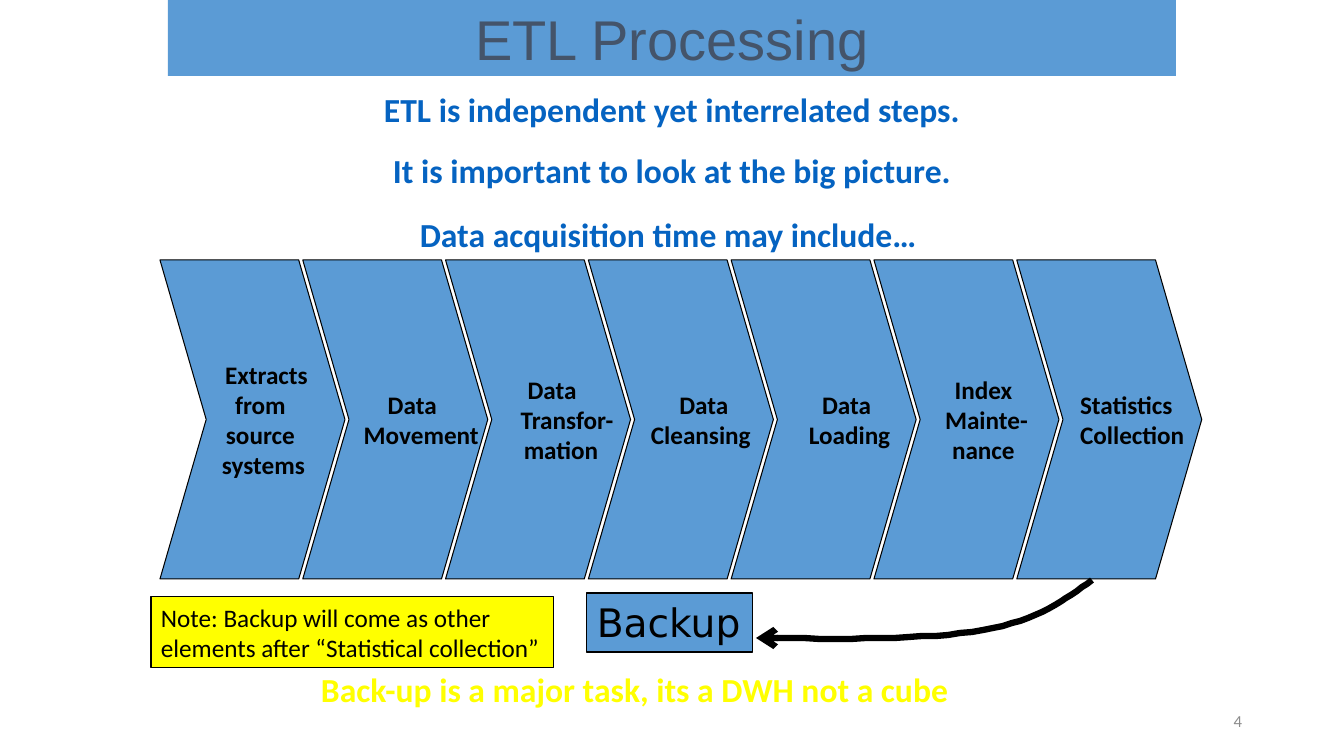
from lxml import etree
from pptx import Presentation
from pptx.dml.color import RGBColor
from pptx.enum.shapes import MSO_SHAPE
from pptx.enum.text import MSO_ANCHOR, PP_ALIGN
from pptx.oxml.ns import qn
from pptx.util import Pt

PX = 914400 / 100.8
RECT, CHEVRON = MSO_SHAPE.RECTANGLE, MSO_SHAPE.CHEVRON
LEFT, CENTER, RIGHT = PP_ALIGN.LEFT, PP_ALIGN.CENTER, PP_ALIGN.RIGHT
TOP, MIDDLE = MSO_ANCHOR.TOP, MSO_ANCHOR.MIDDLE
COLORS = {"blue": "5B9BD5", "slate": "44546A", "link": "0563C1",
          "yellow": "FFFF00", "black": "000000", "gray": "8C8C8C"}

# Each step is a list of lines: (text, shift of its centre to the right in px)
STEPS = [
    [("Extracts", 14), ("from", 8), ("source", 8), ("systems", 11)],
    [("Data", 17), ("Movement", 26)],
    [("Data", 14), ("Transfor-", 29), ("mation", 23)],
    [("Data", 23), ("Cleansing", 20)],
    [("Data", 23), ("Loading", 26)],
    [("Index", 17), ("Mainte-", 20), ("nance", 17)],
    [("Statistics", 17), ("Collection", 23)],
]
STEP_LEFT, STEP_TOP, STEP_W, STEP_H, STEP_PITCH = 160, 260, 185, 319, 142.8

# Two Bezier segments from the last step to the backup box
CURVE = [[(1092, 580), (1065, 600), (1039, 620), (983, 630)],
         [(983, 630), (926, 640), (842, 639), (756, 638)]]


def emu(px):
    return round(px * PX)


def rgb(name):
    return RGBColor.from_string(COLORS[name])


def write(sp, lines, size, color, font="Calibri", bold=False, align=LEFT,
          anchor=TOP, wrap=True, before=(), shifts=()):
    tf = sp.text_frame
    tf.word_wrap = wrap
    tf.vertical_anchor = anchor
    for i, line in enumerate(lines):
        p = tf.paragraphs[0] if i == 0 else tf.add_paragraph()
        p.alignment = align
        if before:
            p.space_before = Pt(before[i])
        if shifts:
            # A centred line moves by half of its left margin
            p._p.get_or_add_pPr().set("marL", str(emu(2 * shifts[i])))
        r = p.add_run()
        r.text = line
        r.font.name, r.font.size, r.font.bold = font, Pt(size), bold
        r.font.color.rgb = rgb(color)


def add_text(s, box, lines, size, color, **style):
    sp = s.shapes.add_textbox(*map(emu, box))
    write(sp, lines, size, color, **style)


def add_box(s, kind, box, fill, lines, size, color, outline=True, **style):
    sp = s.shapes.add_shape(kind, *map(emu, box))
    sp.shadow.inherit = False
    sp.fill.solid()
    sp.fill.fore_color.rgb = rgb(fill)
    if outline:
        sp.line.color.rgb = rgb("black")
        sp.line.width = Pt(0.75)
    else:
        sp.line.fill.background()
    if kind == CHEVRON:
        sp.adjustments[0] = 0.25
    write(sp, lines, size, color, **style)


def bezier(points, t):
    weights = ((1 - t) ** 3, 3 * t * (1 - t) ** 2, 3 * t * t * (1 - t), t ** 3)
    return tuple(sum(w * pt[axis] for w, pt in zip(weights, points))
                 for axis in (0, 1))


def add_curved_arrow(s, segments, steps=16):
    points = [bezier(seg, i / steps) for seg in segments
              for i in range(1, steps + 1)]
    fb = s.shapes.build_freeform(*segments[0][0], scale=PX)
    fb.add_line_segments(points, close=False)
    sp = fb.convert_to_shape()
    sp.shadow.inherit = False
    sp.fill.background()
    sp.line.color.rgb = rgb("black")
    sp.line.width = Pt(4.5)
    ln = sp.line._get_or_add_ln()
    etree.SubElement(ln, qn("a:round"))
    etree.SubElement(ln, qn("a:tailEnd"), type="arrow")


def main():
    prs = Presentation()
    prs.slide_width, prs.slide_height = emu(1344), emu(756)
    s = prs.slides.add_slide(prs.slide_layouts[6])

    # Title and introduction
    add_box(s, RECT, (168, 0, 1008, 76), "blue", ["ETL Processing"], 40,
            "slate", outline=False, font="Arial", align=CENTER, before=[5])
    add_text(s, (168, 84, 1008, 176),
             ["ETL is independent yet interrelated steps.",
              "It is important to look at the big picture.",
              "Data acquisition time may include… "],
             24, "link", bold=True, align=CENTER, before=[0, 14.6, 17.1])

    # Chain of steps
    for i, step in enumerate(STEPS):
        lines, shifts = zip(*step)
        box = (STEP_LEFT + i * STEP_PITCH, STEP_TOP, STEP_W, STEP_H)
        add_box(s, CHEVRON, box, "blue", lines, 18, "black", bold=True,
                align=CENTER, anchor=MIDDLE, wrap=False, shifts=shifts)

    # Backup
    add_box(s, RECT, (587, 593, 166, 59), "blue", ["Backup"], 28, "black",
            font="DejaVu Sans", wrap=False)
    add_curved_arrow(s, CURVE)
    add_text(s, (311, 664, 655, 50),
             ["Back-up is a major task, its a DWH not a cube"],
             24, "yellow", bold=True)
    add_box(s, RECT, (151, 597, 403, 71), "yellow",
            ["Note: Backup will come as other ",
             "elements after “Statistical collection”"],
            18, "black", wrap=False)

    # Slide number
    add_text(s, (950, 701, 302, 40), ["4"], 12, "gray", align=RIGHT,
             anchor=MIDDLE)

    prs.save("out.pptx")


main()
